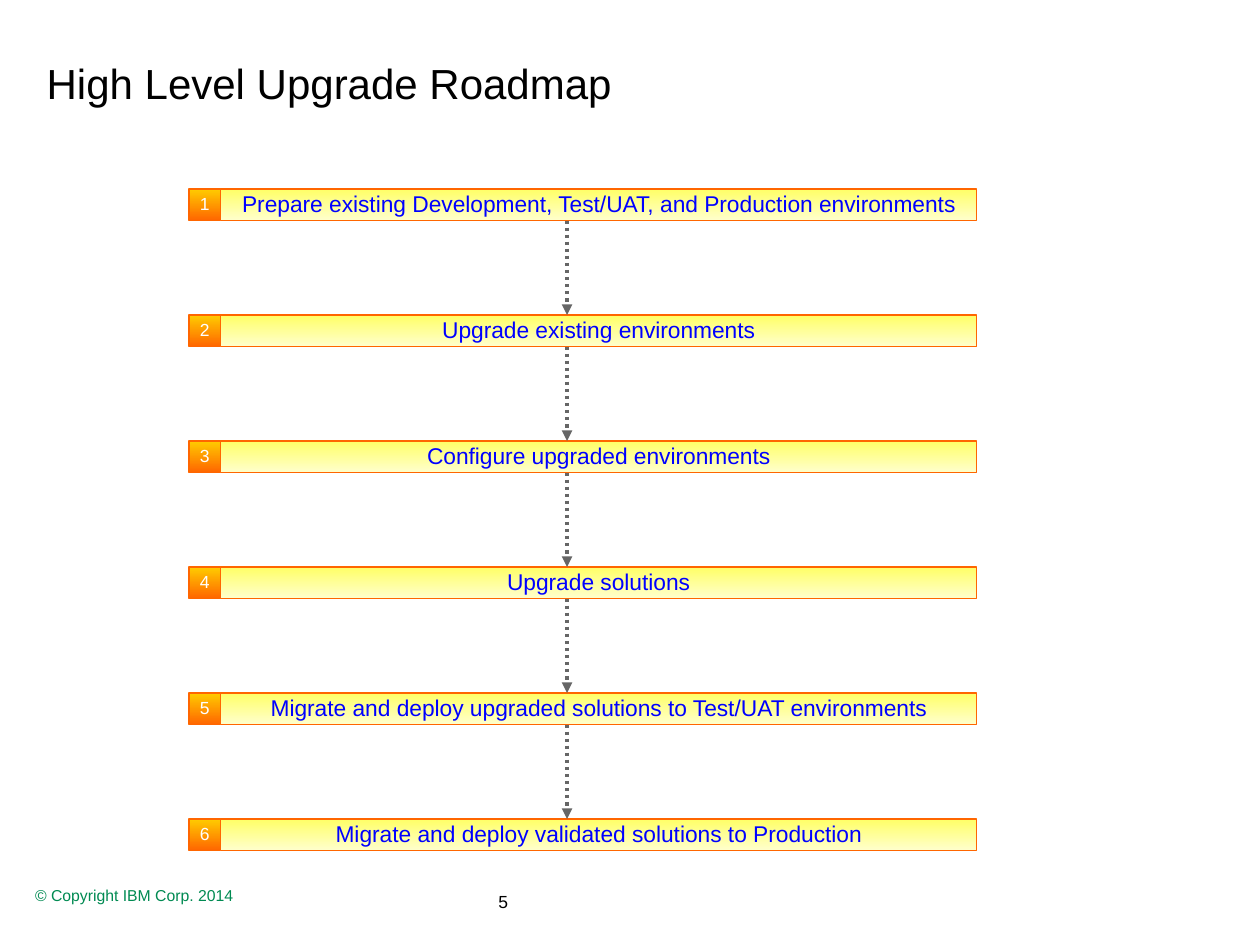
"""Build the upgrade roadmap slide with six numbered steps joined by arrows."""
from dataclasses import dataclass

from lxml import etree
from pptx import Presentation
from pptx.dml.color import RGBColor
from pptx.enum import dml, shapes, text
from pptx.oxml import ns
from pptx.util import Inches, Pt

FONT = "Arial"
BORDER = "FF6600"
STEP_LEFT, STEP_TOP, STEP_PITCH, STEP_HEIGHT = 1.5, 1.5, 1, 0.25
ARROW_X = 4.5


@dataclass(frozen=True)
class CellStyle:
    left: float
    width: float
    gradient: tuple[str, str]
    size: float
    color: str


NUMBER = CellStyle(STEP_LEFT, STEP_HEIGHT, ("FFCC00", "FF6600"), 10, "FFFFFF")
LABEL = CellStyle(STEP_LEFT + STEP_HEIGHT, 6, ("FFFF66", "FFFFCC"), 13, "0000FF")
STEPS = (
    "Prepare existing Development, Test/UAT, and Production environments",
    "Upgrade existing environments",
    "Configure upgraded environments",
    "Upgrade solutions",
    "Migrate and deploy upgraded solutions to Test/UAT environments",
    "Migrate and deploy validated solutions to Production",
)


def rgb(value: str) -> RGBColor:
    return RGBColor.from_string(value)


def write(frame, words: str, size: float, color: str,
          align=text.PP_ALIGN.LEFT, spacing: float = 0.91) -> None:
    frame.word_wrap = True
    paragraph = frame.paragraphs[0]
    paragraph.alignment = align
    paragraph.line_spacing = spacing
    run = paragraph.add_run()
    run.text = words
    run.font.name = FONT
    run.font.size = Pt(size)
    run.font.color.rgb = rgb(color)


def add_cell(slide, style: CellStyle, top: float, words: str) -> None:
    cell = slide.shapes.add_shape(
        shapes.MSO_SHAPE.RECTANGLE, Inches(style.left), Inches(top),
        Inches(style.width), Inches(STEP_HEIGHT))
    cell.shadow.inherit = False
    cell.fill.gradient()
    cell.fill.gradient_angle = 270
    for stop, color, position in zip(cell.fill.gradient_stops, style.gradient, (0, 1)):
        stop.color.rgb = rgb(color)
        stop.position = position
    cell.line.color.rgb = rgb(BORDER)
    cell.line.width = Pt(0)
    frame = cell.text_frame
    frame.margin_left = frame.margin_right = frame.margin_top = frame.margin_bottom = 0
    frame.vertical_anchor = text.MSO_ANCHOR.MIDDLE
    write(frame, words, style.size, style.color, text.PP_ALIGN.CENTER)


def add_arrow(slide, top: float, bottom: float) -> None:
    arrow = slide.shapes.add_connector(
        shapes.MSO_CONNECTOR.STRAIGHT, Inches(ARROW_X), Inches(top),
        Inches(ARROW_X), Inches(bottom))
    arrow.line.color.rgb = rgb("666666")
    arrow.line.width = Pt(0)
    arrow.line.dash_style = dml.MSO_LINE.ROUND_DOT
    properties = arrow.line._get_or_add_ln()
    etree.SubElement(properties, ns.qn("a:tailEnd"), type="triangle")
    etree.SubElement(arrow._element.spPr, ns.qn("a:effectLst"))


def add_note(slide, left: float, top: float, width: float, height: float):
    return slide.shapes.add_textbox(
        Inches(left), Inches(top), Inches(width), Inches(height)).text_frame


def main() -> None:
    deck = Presentation()
    deck.slide_width, deck.slide_height = Inches(10), Inches(7.5)
    slide = deck.slides.add_slide(deck.slide_layouts[5])

    heading = slide.shapes.title
    heading.left, heading.top = Inches(0.27), Inches(0.21)
    heading.width, heading.height = Inches(10), Inches(0.89)
    heading.text_frame.vertical_anchor = text.MSO_ANCHOR.MIDDLE
    write(heading.text_frame, "High Level Upgrade Roadmap", 24, "000000", spacing=1.02)

    for index, step in enumerate(STEPS):
        top = STEP_TOP + index * STEP_PITCH
        add_cell(slide, NUMBER, top, str(index + 1))
        add_cell(slide, LABEL, top, step)
        if index:
            add_arrow(slide, top - STEP_PITCH + STEP_HEIGHT, top)

    write(add_note(slide, 0.18, 7, 3.41, 0.24), "© Copyright IBM Corp. 2014", 9, "008A52")
    write(add_note(slide, 2.83, 7.02, 2.33, 0.4), "5", 10, "000000",
          text.PP_ALIGN.CENTER, 1.0)
    deck.save("out.pptx")


if __name__ == "__main__":
    main()
